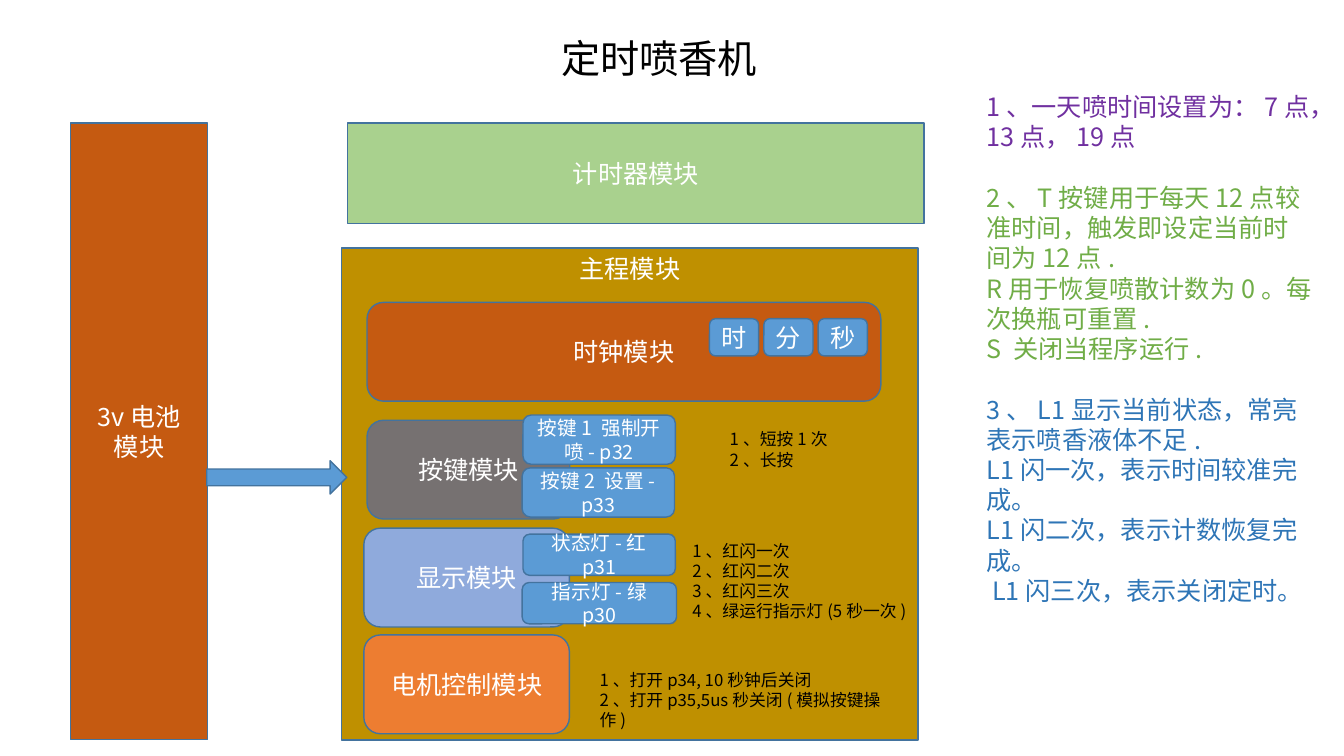
"""Build the block diagram slide of a timed fragrance sprayer."""
from lxml import etree
from pptx import Presentation
from pptx import util as u
from pptx.dml.color import RGBColor
from pptx.enum import shapes, text
from pptx.oxml.ns import qn

COLORS = {
    "white": "FFFFFF", "black": "000000", "outline": "43739E",
    "gold": "BF9000", "rust": "C55A11", "blue": "5B9BD5", "gray": "767171",
    "mint": "A9D18E", "periwinkle": "8FAADC", "orange": "ED7D31",
    "purple": "7030A0", "green": "70AD47", "navy": "2E75B6",
}
RECT = shapes.MSO_SHAPE.RECTANGLE
ROUND = shapes.MSO_SHAPE.ROUNDED_RECTANGLE
ARROW = shapes.MSO_SHAPE.RIGHT_ARROW
TOP, MIDDLE = text.MSO_ANCHOR.TOP, text.MSO_ANCHOR.MIDDLE


class Diagram:
    """Hold the style and the current slide."""
    font = "Noto Sans CJK SC"

    def __init__(self, slide):
        self.slide = slide

    def color(self, name):
        return RGBColor.from_string(COLORS[name])

    def fill_paragraph(self, paragraph, words, size, color, latin=None):
        paragraph.text = words
        for run in paragraph.runs:
            formats = {"name": latin or self.font, "size": u.Pt(size)}
            for attribute, value in formats.items():
                setattr(run.font, attribute, value)
            run.font.color.rgb = self.color(color)
            east_asian = etree.SubElement(run.font._element, qn("a:ea"))
            east_asian.set("typeface", self.font)

    def block(self, kind, box, fill, words="", size=18, anchor=MIDDLE):
        shape = self.slide.shapes.add_shape(kind, *map(u.Cm, box))
        shape.shadow.inherit = False
        shape.fill.solid()
        shape.fill.fore_color.rgb = self.color(fill)
        shape.line.color.rgb = self.color("outline")
        shape.line.width = u.Pt(1)
        if words:
            formats = {"word_wrap": True, "vertical_anchor": anchor}
            for attribute, value in formats.items():
                setattr(shape.text_frame, attribute, value)
            paragraph = shape.text_frame.paragraphs[0]
            paragraph.alignment = text.PP_ALIGN.CENTER
            self.fill_paragraph(paragraph, words, size, "white")

    def label(self, box, lines, size=12, wrap=True, latin=None):
        frame = self.slide.shapes.add_textbox(*map(u.Cm, box)).text_frame
        formats = {"word_wrap": wrap, "auto_size": text.MSO_AUTO_SIZE.SHAPE_TO_FIT_TEXT}
        for attribute, value in formats.items():
            setattr(frame, attribute, value)
        for index, (words, color, gap) in enumerate(lines):
            paragraph = frame.add_paragraph() if index else frame.paragraphs[0]
            paragraph.space_before = u.Pt(gap)
            self.fill_paragraph(paragraph, words, size, color, latin)

    def steps(self, box, lines):
        self.label(box, [(f"{number}、{words}", "black", 0)
                         for number, words in enumerate(lines, 1)])


def main():
    presentation = Presentation()
    presentation.slide_width, presentation.slide_height = u.Cm(33.87), u.Cm(19.05)
    diagram = Diagram(presentation.slides.add_slide(presentation.slide_layouts[6]))

    diagram.label((13.89, 0.74, 5.51, 1.45), [("定时喷香机", "black", 0)],
                  size=28, wrap=False, latin="Lato")
    diagram.block(RECT, (8.61, 6.25, 14.53, 12.4), "gold", "主程模块", anchor=TOP)
    diagram.block(RECT, (1.78, 3.1, 3.45, 15.54), "rust", "3v电池\n模块")
    diagram.label((24.61, 2.18, 8.71, 14.1), [
        ("1、一天喷时间设置为：7点，13点，19点", "purple", 0),
        ("2、T按键用于每天12点较准时间，触发即设定当前时间为12点.", "green", 21.6),
        ("R用于恢复喷散计数为0。每次换瓶可重置.", "green", 0),
        ("S 关闭当程序运行.", "green", 0),
        ("3、L1显示当前状态，常亮表示喷香液体不足.", "navy", 21.6),
        ("L1闪一次，表示时间较准完成。", "navy", 0),
        ("L1闪二次，表示计数恢复完成。", "navy", 0),
        (" L1闪三次，表示关闭定时。", "navy", 0),
    ], size=18)
    diagram.block(ARROW, (5.21, 11.61, 3.53, 0.84), "blue")

    modules = [
        (ROUND, (9.25, 10.59, 5.11, 2.49), "gray", "按键模块"),
        (ROUND, (9.25, 7.62, 12.95, 2.49), "rust", "时钟模块"),
        (RECT, (8.76, 3.1, 14.53, 2.54), "mint", "计时器模块"),
        (ROUND, (9.17, 13.31, 5.18, 2.49), "periwinkle", "显示模块"),
        (ROUND, (9.17, 16, 5.18, 2.49), "orange", "电机控制模块"),
    ]
    for module in modules:
        diagram.block(*module)

    pins = [
        ((13.18, 13.46, 3.84, 1.04), "状态灯-红 p31"),
        ((13.16, 14.68, 3.89, 1.04), "指示灯-绿 p30"),
        ((13.18, 10.46, 3.84, 1.24), "按键1 强制开喷- p32"),
        ((13.16, 11.79, 3.84, 1.24), "按键2 设置- p33"),
    ]
    for box, words in pins:
        diagram.block(ROUND, box, "blue", words, size=14)

    for index, unit in enumerate("时分秒"):
        diagram.block(ROUND, (17.88 + index * 1.37, 8.03, 1.24, 0.94), "blue", unit)

    diagram.steps((18.14, 10.69, 7.72, 1.27), ["短按1次", "长按"])
    diagram.steps((17.2, 13.49, 6.15, 2.31),
                  ["红闪一次", "红闪二次", "红闪三次", "绿运行指示灯(5秒一次)"])
    diagram.steps((14.86, 16.74, 7.72, 1.27),
                  ["打开p34, 10秒钟后关闭", "打开p35,5us秒关闭(模拟按键操作)"])
    presentation.save("out.pptx")


if __name__ == "__main__":
    main()
